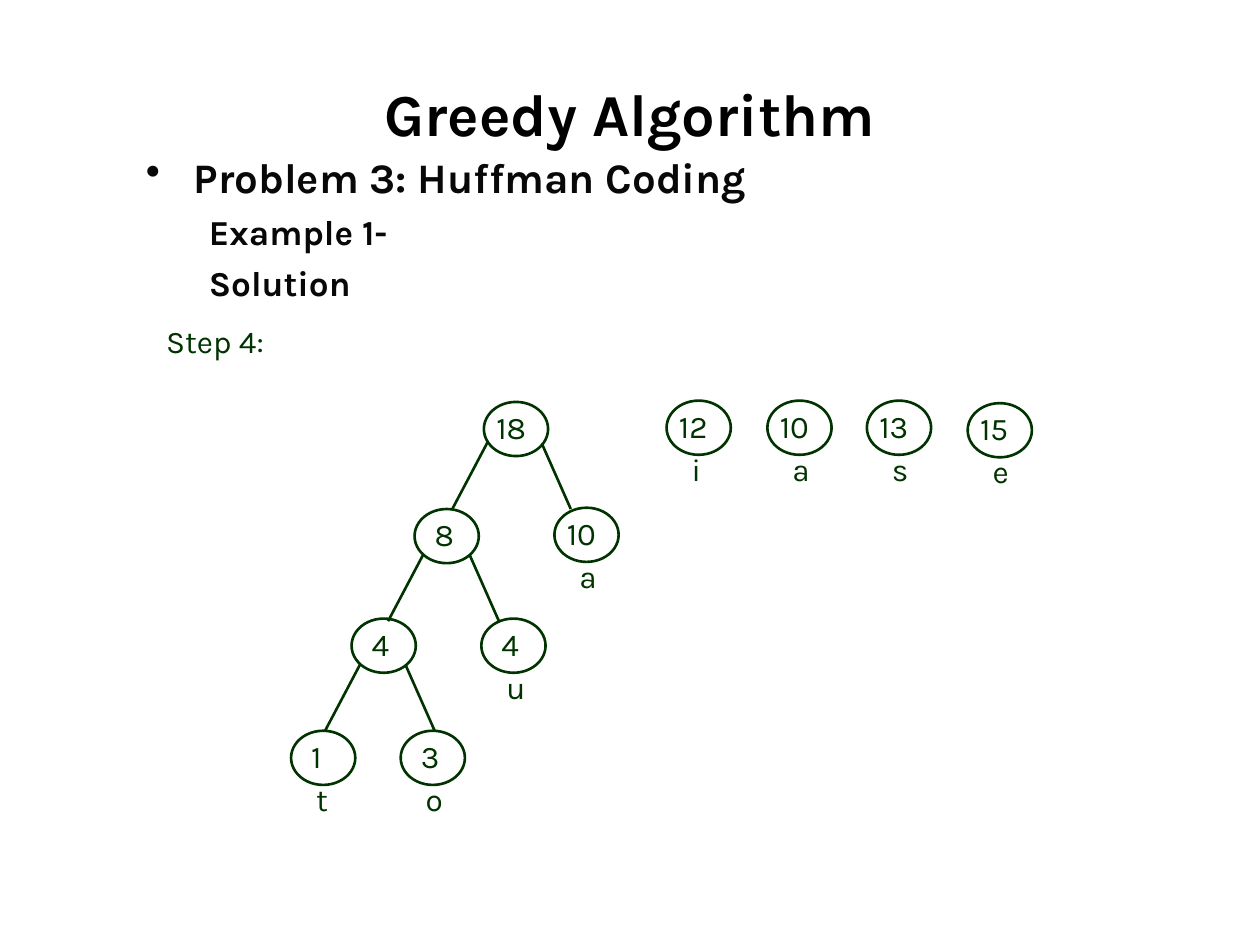
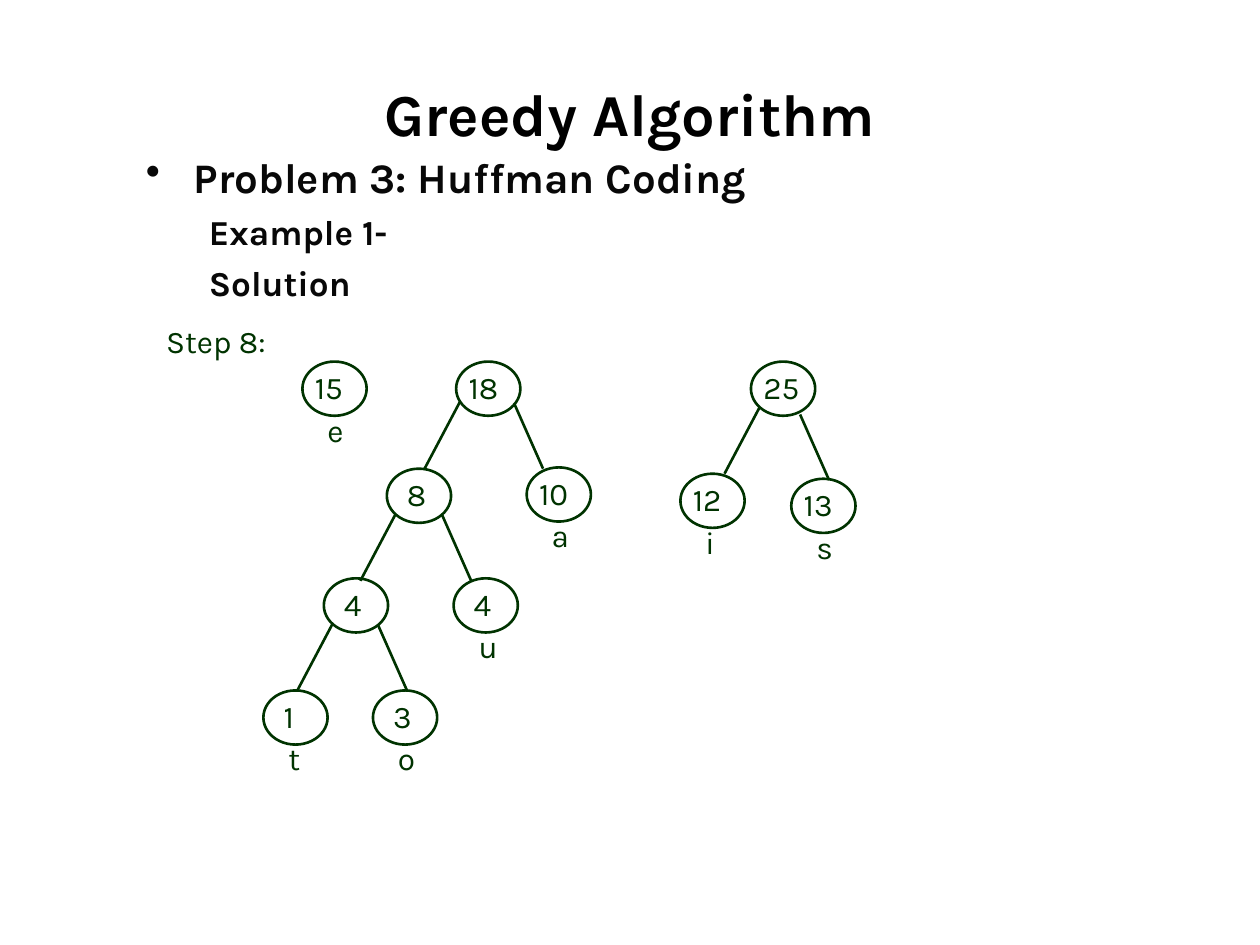
"""Builds two slides that follow Huffman coding trees from step 4 to step 8."""
from lxml import etree
from pptx import Presentation, util as u
from pptx.dml.color import RGBColor
from pptx.enum import shapes, text
from pptx.oxml.ns import qn

PX = 9144
FONT = "Karla"
COLORS = {"title": "000000", "outline": "080808", "tree": "003300"}

TITLE = "Greedy Algorithm"
OUTLINE = [
    {"text": "Problem 3: Huffman Coding", "size": 24, "level": 0, "margin": 38, "bullet": "•"},
    {"text": "Example 1-", "size": 20, "level": 1, "margin": 50, "bullet": None},
    {"text": "Solution", "size": 20, "level": 1, "margin": 50, "bullet": None},
]

NODE_WIDTH, NODE_HEIGHT = 51, 43
LEFT_BRANCH, RIGHT_BRANCH = (-28, 53), (23, 52)

TREE_18 = {
    "nodes": [("18", "", 0, 0), ("8", "", -55, 85), ("10", "a", 56, 84),
              ("4", "", -105, 172), ("4", "u", -2, 172),
              ("1", "t", -153, 261), ("3", "o", -66, 261)],
    "left": [(3, 32), (-48, 121), (-98, 208)],
    "right": [(46, 33), (-11, 122), (-62, 209)],
}
TREE_25 = {
    "nodes": [("25", "", 0, 0), ("12", "i", -56, 89), ("13", "s", 32, 93)],
    "left": [(7, 36)],
    "right": [(39, 42)],
}


def leaf(weight, letter):
    return {"nodes": [(weight, letter, 0, 0)], "left": [], "right": []}


STEPS = [
    ("Step 4:", [(leaf("12", "i"), 529, 318), (leaf("10", "a"), 609, 318),
                 (leaf("13", "s"), 688, 318), (leaf("15", "e"), 768, 320),
                 (TREE_18, 384, 319)]),
    ("Step 8:", [(leaf("15", "e"), 240, 287), (TREE_18, 362, 287), (TREE_25, 596, 287)]),
]


def px(*lengths):
    return [u.Emu(length * PX) for length in lengths]


def style(para, size, color, bold=False):
    for span in para.runs:
        span.font.name = FONT
        span.font.size = u.Pt(size)
        span.font.bold = bold
        span.font.color.rgb = RGBColor.from_string(COLORS[color])


def add_text(page, words, place, size=18, color="tree", bold=False, inset=10):
    box = page.shapes.add_textbox(*px(*place))
    frame = box.text_frame
    frame.word_wrap = True
    frame.margin_left = u.Emu(inset * PX)
    frame.text = words
    for para in frame.paragraphs:
        style(para, size, color, bold)
    return frame


def add_heading(page):
    frame = add_text(page, TITLE, (50, 50, 900, 79), 34, "title", True)
    frame.vertical_anchor = text.MSO_ANCHOR.MIDDLE
    frame.paragraphs[0].alignment = text.PP_ALIGN.CENTER

    lines = "\n".join(item["text"] for item in OUTLINE)
    frame = add_text(page, lines, (106, 115, 787, 205))
    for para, item in zip(frame.paragraphs, OUTLINE):
        style(para, item["size"], "outline", True)
        para.alignment = text.PP_ALIGN.JUSTIFY
        para.level = item["level"]
        para.space_before = u.Pt(5)
        props = para._p.get_or_add_pPr()
        props.set("marL", str(item["margin"] * PX))
        props.set("indent", str(-item["margin"] * PX if item["bullet"] else 0))
        if item["bullet"]:
            etree.SubElement(props, qn("a:buChar"), char=item["bullet"])


def outline(shape):
    shape.line.color.rgb = RGBColor.from_string(COLORS["tree"])
    shape.line.width = u.Pt(1.5)


def add_node(page, weight, letter, left, top):
    oval = page.shapes.add_shape(
        shapes.MSO_SHAPE.OVAL, *px(left, top, NODE_WIDTH, NODE_HEIGHT))
    oval.shadow.inherit = False
    oval.fill.background()
    outline(oval)
    inset = 16 if len(weight) == 1 else 10
    add_text(page, weight, (left, top, 55, 40), inset=inset)
    if letter:
        add_text(page, letter, (left + 10, top + 34, 39, 40))


def add_branch(page, left, top, reach):
    branch = page.shapes.add_connector(
        shapes.MSO_CONNECTOR.STRAIGHT, *px(left, top, left + reach[0], top + reach[1]))
    outline(branch)
    etree.SubElement(branch._element.spPr, qn("a:effectLst"))


def add_tree(page, tree, left, top):
    for weight, letter, x, y in tree["nodes"]:
        add_node(page, weight, letter, left + x, top + y)
    for side, reach in (("left", LEFT_BRANCH), ("right", RIGHT_BRANCH)):
        for x, y in tree[side]:
            add_branch(page, left + x, top + y, reach)


def main():
    deck = Presentation()
    deck.slide_width, deck.slide_height = px(1000, 750)
    for step, forest in STEPS:
        page = deck.slides.add_slide(deck.slide_layouts[6])
        add_heading(page)
        add_text(page, step, (122, 251, 118, 40))
        for tree, left, top in forest:
            add_tree(page, tree, left, top)
    deck.save("out.pptx")


if __name__ == "__main__":
    main()
